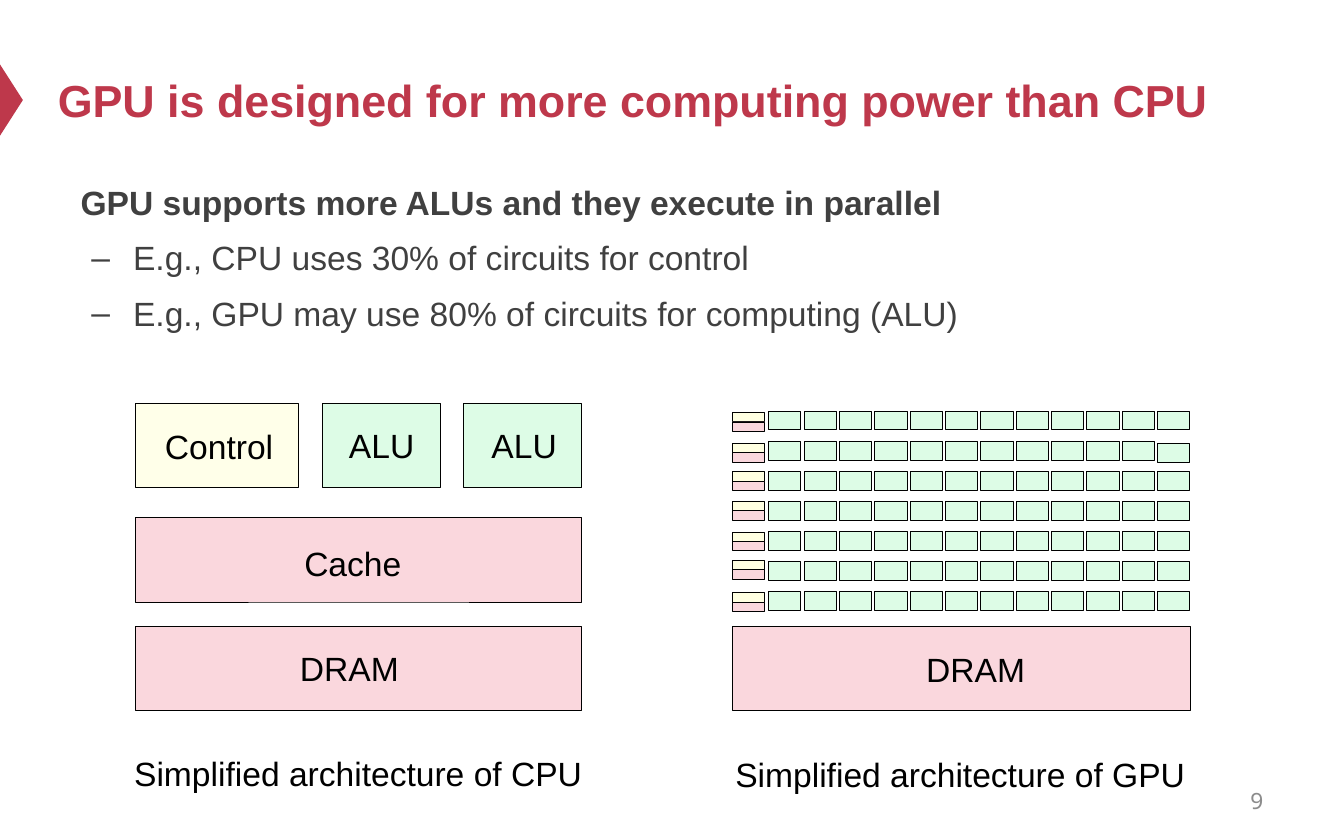
from lxml import etree
from pptx import Presentation
from pptx.dml.color import RGBColor
from pptx.enum import shapes, text
from pptx.oxml.ns import qn
from pptx.util import Inches, Pt

RED, GREY, BLACK = "BE384B", "404040", "000000"
PINK, GREEN, CREAM = "FAD7DD", "DDFCE6", "FFFFE1"
LEFT, MID, RIGHT = text.PP_ALIGN.LEFT, text.PP_ALIGN.CENTER, text.PP_ALIGN.RIGHT


def rgb(code):
    return RGBColor.from_string(code)


def block(left, top, width, height, fill, line=BLACK, kind=shapes.MSO_SHAPE.RECTANGLE):
    box = slide.shapes.add_shape(kind, *map(Inches, (left, top, width, height)))
    box.shadow.inherit = False
    box.fill.solid()
    box.fill.fore_color.rgb = rgb(fill)
    if line:
        box.line.color.rgb = rgb(line)
        box.line.width = Pt(0.5)
    else:
        box.line.fill.background()
    return box


prs = Presentation()
prs.slide_width, prs.slide_height = Inches(10), Inches(6.25)
slide = prs.slides.add_slide(prs.slide_layouts[1])

# Red marker at the left edge
mark = block(-0.18, 0.66, 0.53, 0.17, RED, None, shapes.MSO_SHAPE.ISOSCELES_TRIANGLE)
mark.rotation = 90

# Title and body placeholders
title, body = slide.placeholders
for holder, top, height in ((title, 0.25, 0.98), (body, 1.24, 1.49)):
    holder.left = Inches(0.33 if holder is title else 0.5)
    holder.top, holder.width, holder.height = Inches(top), Inches(9), Inches(height)
    holder.text_frame.auto_size = text.MSO_AUTO_SIZE.NONE
title.text_frame.text = "GPU is designed for more computing power than CPU"
title.text_frame.vertical_anchor = text.MSO_ANCHOR.MIDDLE
head = title.text_frame.paragraphs[0]
head.alignment = LEFT
head.font.size, head.font.bold, head.font.name = Pt(24), True, "Arial"
head.font.color.rgb = rgb(RED)

body.text_frame.text = "\n".join((
    "GPU supports more ALUs and they execute in parallel",
    "E.g., CPU uses 30% of circuits for control",
    "E.g., GPU may use 80% of circuits for computing (ALU)",
))
for i, para in enumerate(body.text_frame.paragraphs):
    props = para._p.get_or_add_pPr()
    props.set("marL", str(Inches(0.39 if i else 0)))
    props.set("indent", str(Inches(-0.31 if i else 0)))
    if i:
        para.level = 1
        etree.SubElement(props, qn("a:buChar"), char="–")
    else:
        etree.SubElement(props, qn("a:buNone"))
    para.line_spacing = 1.2
    para.space_before = Pt(4 if i else 0)
    para.font.size, para.font.bold, para.font.name = Pt(18), i == 0, "Arial"
    para.font.color.rgb = rgb(GREY)

# CPU blocks
block(1.01, 3.85, 3.32, 0.63, PINK)
block(1.01, 4.66, 3.32, 0.63, PINK)
for left in (2.4, 3.45):
    block(left, 3, 0.88, 0.63, GREEN)
control = block(1.01, 3, 1.21, 0.63, CREAM)
tint = control._element.spPr.find(qn("a:solidFill")).find(qn("a:srgbClr"))
etree.SubElement(tint, qn("a:alpha"), val="73000")

# GPU grid: a control and cache pair, then twelve ALUs in each row
stacks = (3.07, 3.3, 3.51, 3.73, 3.96, 4.17, 4.41)
for row, stack in enumerate(stacks):
    top = 3.06 + row * 1.34 / 6
    for col in range(12):
        drop = 0.02 if (row, col) == (1, 11) else 0
        block(5.72 + col * 0.263, top + drop, 0.24, 0.14, GREEN)
    block(5.45, stack, 0.24, 0.07, CREAM)
    block(5.45, stack + 0.07, 0.24, 0.07, PINK)
block(5.45, 4.66, 3.41, 0.63, PINK)

# Labels, captions and page number
labels = (
    ("Cache", 1.47, 3.99, 2.31),
    ("DRAM", 1.75, 4.77, 1.7),
    ("ALU", 2.46, 3.11, 0.76),
    ("Control", 1.04, 3.12, 1.18),
    ("ALU", 3.52, 3.11, 0.76),
    ("DRAM", 6.41, 4.78, 1.7),
    ("Simplified architecture of CPU", 0.72, 5.55, 3.89),
    ("Simplified architecture of GPU", 5.2, 5.56, 3.89),
    ("9", 7.17, 5.79, 2.33),
)
for words, left, top, width in labels:
    page = words == "9"
    label = slide.shapes.add_textbox(
        Inches(left), Inches(top), Inches(width), Inches(0.33 if page else 0.4))
    frame = label.text_frame
    frame.word_wrap = True
    frame.text = words
    if page:
        frame.vertical_anchor = text.MSO_ANCHOR.MIDDLE
    para = frame.paragraphs[0]
    para.alignment = RIGHT if page else MID
    para.font.size = Pt(12 if page else 18)
    para.font.name = "Noto Sans Mono" if page else "Arial"
    para.font.color.rgb = rgb("8C8C8C" if page else BLACK)

prs.save("out.pptx")
